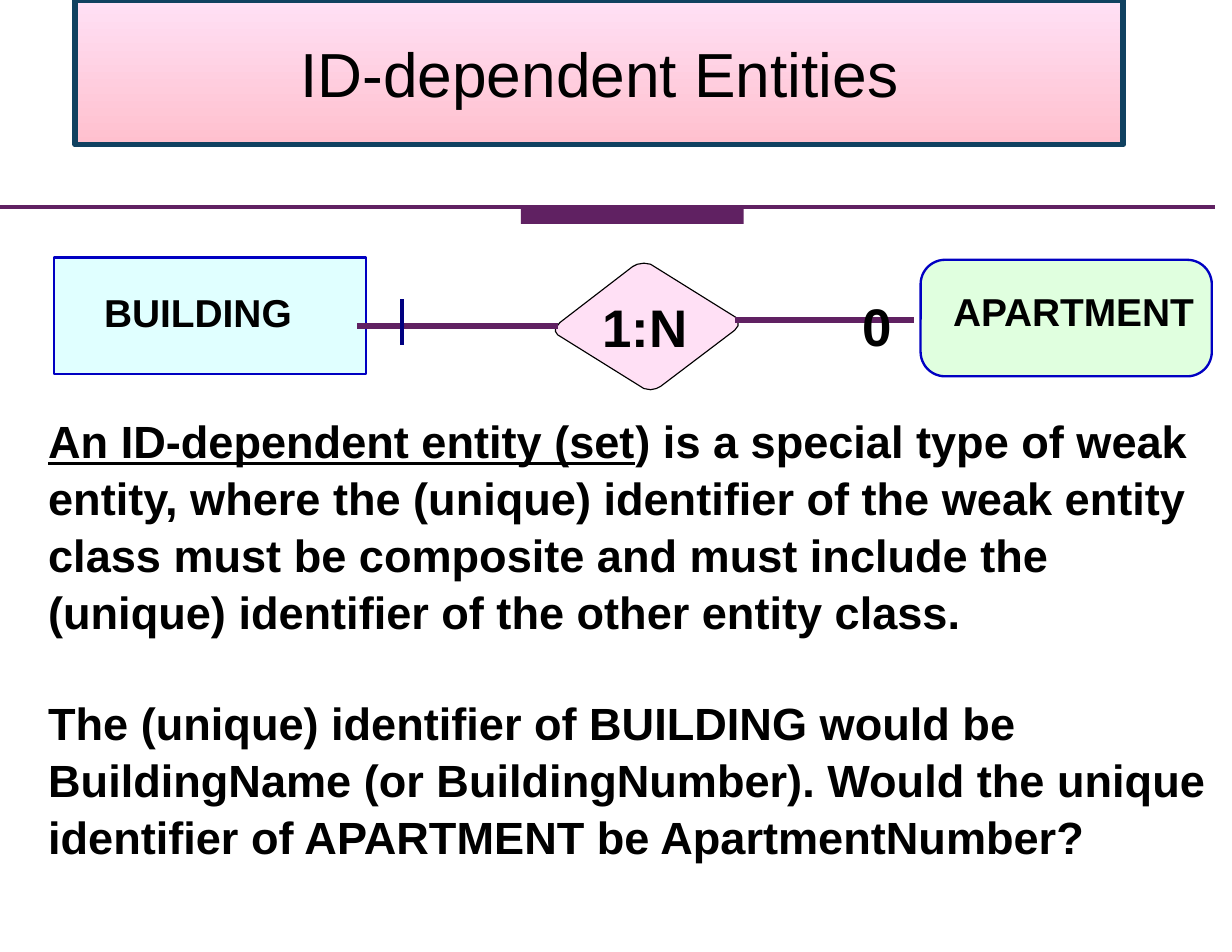
from lxml import etree
from pptx import Presentation
from pptx import util as u
from pptx.dml.color import RGBColor
from pptx.enum import shapes as s, text as t
from pptx.oxml.ns import qn

In, Pt = u.Inches, u.Pt
BLACK = RGBColor(0, 0, 0)
PLUM = RGBColor(0x60, 0x21, 0x62)
BLUE = RGBColor(0, 0, 0xC2)
NAVY = RGBColor(0, 0, 0x80)
TEAL = RGBColor(0x10, 0x41, 0x60)
CYAN = RGBColor(0xE0, 0xFF, 0xFF)
GREEN = RGBColor(0xE0, 0xFF, 0xDF)
PINK = RGBColor(0xFF, 0xE0, 0xF5)
ROSE = RGBColor(0xFF, 0xC0, 0xCE)
RECT, ROUND = s.MSO_SHAPE.RECTANGLE, s.MSO_SHAPE.ROUNDED_RECTANGLE


def place(shape, left, top, width, height):
    box = dict(left=left, top=top, width=width, height=height)
    for key, val in box.items():
        setattr(shape, key, In(val))


def style(shape, fill, line=None, weight=1.5):
    shape.shadow.inherit = False
    shape.fill.solid()
    shape.fill.fore_color.rgb = fill
    if line is None:
        shape.line.fill.background()
    else:
        shape.line.color.rgb = line
        shape.line.width = Pt(weight)


def add_box(slide, kind, at, fill, line=None):
    box = slide.shapes.add_shape(kind, *map(In, at))
    style(box, fill, line)
    return box


def add_line(slide, start, end, color, weight):
    line = slide.shapes.add_connector(
        s.MSO_CONNECTOR.STRAIGHT, *map(In, start + end))
    line.line.color.rgb = color
    line.line.width = Pt(weight)
    props = line._element.spPr
    etree.SubElement(props, qn("a:effectLst"))


def set_frame(frame, anchor=t.MSO_ANCHOR.TOP):
    form = dict(margin_left=0, margin_top=0, margin_right=0, margin_bottom=0,
                word_wrap=True, auto_size=t.MSO_AUTO_SIZE.NONE,
                vertical_anchor=anchor)
    for key, val in form.items():
        setattr(frame, key, val)


def add_run(para, words, **form):
    run = para.add_run()
    run.text = words
    for key, val in dict(name="Arial", bold=True, **form).items():
        setattr(run.font, key, val)
    run.font.color.rgb = BLACK


def add_text(slide, at, size, paras, gap=0):
    """Each paragraph is a list of (words, underline) pairs."""
    frame = slide.shapes.add_textbox(*map(In, at)).text_frame
    set_frame(frame)
    for i, runs in enumerate(paras):
        para = frame.add_paragraph() if i else frame.paragraphs[0]
        para.line_spacing = 1.05
        if i:
            para.space_before = Pt(gap)
        for words, under in runs:
            add_run(para, words, size=Pt(size), underline=under)


def add_title(slide, words):
    title = slide.shapes.title
    place(title, 0.67, 0, 9.36, 1.29)
    title.fill.gradient()
    title.fill.gradient_angle = 270
    for stop, color, pos in zip(title.fill.gradient_stops, (PINK, ROSE), (0, 1)):
        stop.color.rgb = color
        stop.position = pos
    title.line.color.rgb = TEAL
    title.line.width = Pt(3.71)
    set_frame(title.text_frame, t.MSO_ANCHOR.MIDDLE)
    para = title.text_frame.paragraphs[0]
    para.alignment = t.PP_ALIGN.CENTER
    add_run(para, words, size=Pt(40))
    para.runs[0].font.bold = False


def add_diamond(slide):
    # Softened corners: left, top, right, bottom
    dots = [(4.98, 2.99), (4.96, 2.96), (4.96, 2.93), (5, 2.88),
            (5.65, 2.38), (5.69, 2.36), (5.75, 2.35), (5.81, 2.36),
            (6.58, 2.84), (6.59, 2.87), (6.59, 2.91), (6.56, 2.95),
            (5.9, 3.45), (5.86, 3.47), (5.81, 3.48), (5.75, 3.47)]
    pen = slide.shapes.build_freeform(*map(In, dots[0]), scale=1.0)
    pen.add_line_segments([(In(x), In(y)) for x, y in dots[1:]], close=True)
    style(pen.convert_to_shape(), PINK, BLACK, 0.75)


def main():
    deck = Presentation()
    deck.slide_width, deck.slide_height = In(11), In(8.5)
    slide = deck.slides.add_slide(deck.slide_layouts[5])
    add_title(slide, "ID-dependent Entities")

    # Divider under the title
    add_box(slide, RECT, (4.65, 1.86, 1.99, 0.14), PLUM)
    add_line(slide, (0, 1.85), (10.85, 1.85), PLUM, 2.5)

    # Entities and relationship
    add_box(slide, RECT, (0.48, 2.3, 2.79, 1.04), CYAN, BLUE)
    flat = add_box(slide, ROUND, (8.22, 2.32, 2.6, 1.04), GREEN, BLUE)
    flat.adjustments[0] = 0.21
    add_diamond(slide)
    add_line(slide, (4.98, 2.91), (3.19, 2.91), PLUM, 3.71)
    add_line(slide, (6.56, 2.86), (8.16, 2.86), PLUM, 3.71)
    add_line(slide, (3.59, 2.67), (3.59, 3.08), NAVY, 3)

    # Labels
    for words, at, size in (
            ("1:N", (5.38, 2.6, 1.01, 0.61), 34),
            ("0", (7.7, 2.59, 0.52, 0.61), 34),
            ("BUILDING", (0.93, 2.56, 2.53, 0.54), 25),
            ("APARTMENT", (8.51, 2.55, 2.4, 0.65), 25)):
        add_text(slide, at, size, [[(words, False)]])

    # Definition and question
    add_text(slide, (0.43, 3.67, 10.49, 4.8), 29, [
        [("An ID-dependent entity (set", True),
         (") is a special type of weak entity, where the (unique) identifier "
          "of the weak entity class must be composite and must include the "
          "(unique) identifier of the other entity class.", False)],
        [("The (unique) identifier of BUILDING would be BuildingName "
          "(or BuildingNumber). Would the unique identifier of APARTMENT "
          "be ApartmentNumber?", False)]], gap=35)

    deck.save("out.pptx")


if __name__ == "__main__":
    main()
